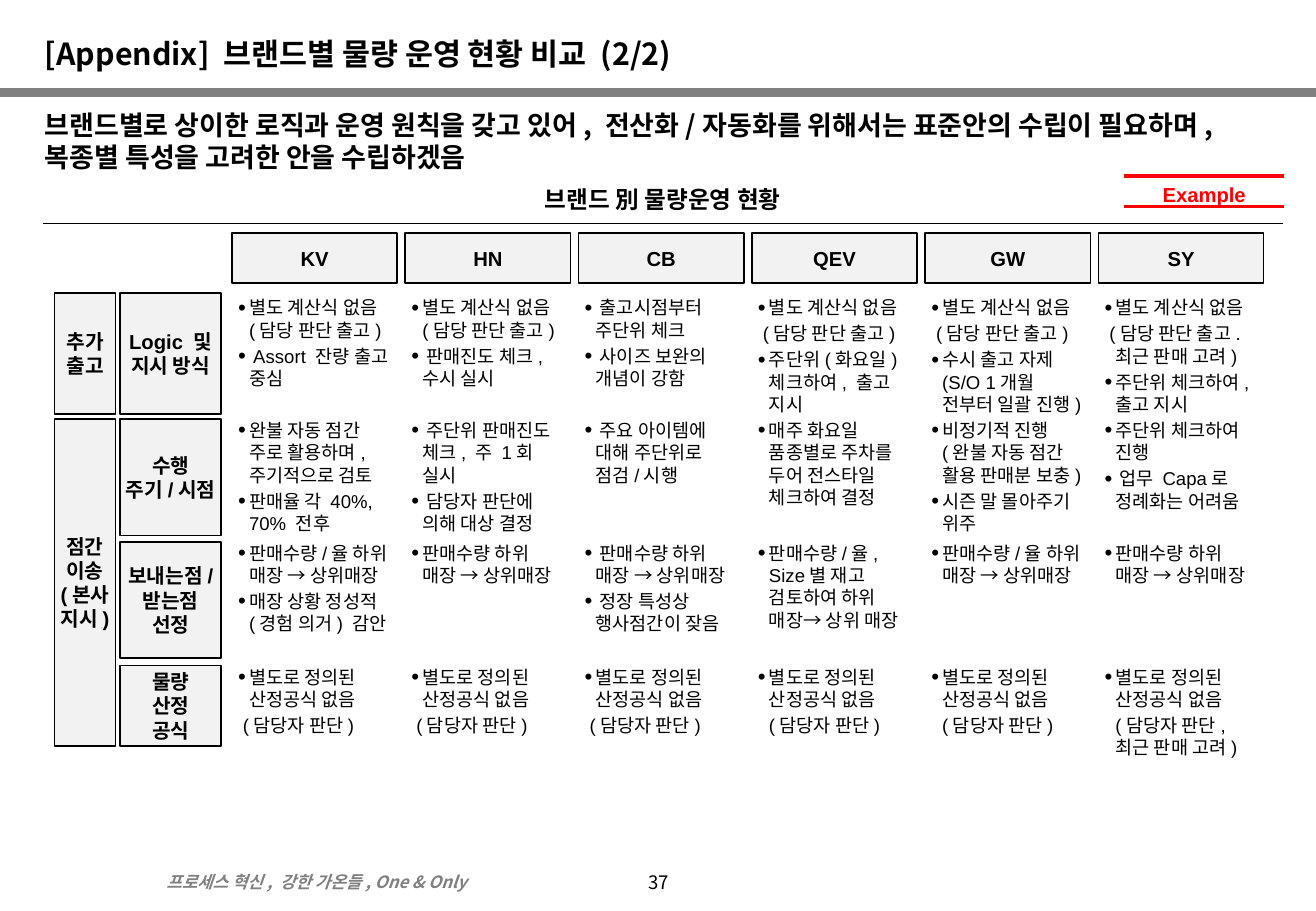
from copy import deepcopy

from lxml import etree
from pptx import Presentation
from pptx.dml import color
from pptx.enum import shapes, text
from pptx.oxml import ns
from pptx.util import Inches, Pt

BLACK = color.RGBColor(0, 0, 0)
GRAY = color.RGBColor(0x80, 0x80, 0x80)
PALE = color.RGBColor(0xF2, 0xF2, 0xF2)
RED = color.RGBColor(0xFF, 0, 0)
NOTO = "Noto Sans CJK KR"
LEFT, MID = text.PP_ALIGN.LEFT, text.PP_ALIGN.CENTER
HANG = 0.09
NOTES = {"-": -0.05, "=": 0}

BRANDS = ["KV", "HN", "CB", "QEV", "GW", "SY"]
GROUPS = [("추가\n출고", 2.41, 1), ("점간\n이송\n(본사\n지시)", 3.45, 2.69)]
NONE = "별도 계산식 없음"
JUDGE = NONE + " (담당 판단 출고)"
RULE = "별도로 정의된 산정공식 없음"
MOVE = "매장 → 상위매장"
ROWS = [
    ("Logic 및\n지시 방식", 2.41, 1, [
        [JUDGE, " Assort 잔량 출고 중심"],
        [JUDGE, " 판매진도 체크, 수시 실시"],
        [" 출고시점부터 주단위 체크", " 사이즈 보완의 개념이 강함"],
        [NONE, "-(담당 판단 출고)", "주단위(화요일) 체크하여, 출고 지시"],
        [NONE, "-(담당 판단 출고)", "수시 출고 자제 (S/O 1개월 전부터 일괄 진행)"],
        [NONE, "-(담당 판단 출고. 최근 판매 고려)", "주단위 체크하여, 출고 지시"]]),
    ("수행\n주기/시점", 3.45, 0.96, [
        ["완불 자동 점간 주로 활용하며, 주기적으로 검토", "판매율 각 40%, 70% 전후"],
        [" 주단위 판매진도 체크, 주 1회 실시", " 담당자 판단에 의해 대상 결정"],
        [" 주요 아이템에 대해 주단위로 점검/시행"],
        ["매주 화요일\n품종별로 주차를 두어 전스타일 체크하여 결정"],
        ["비정기적 진행\n(완불 자동 점간 활용 판매분 보충)", "시즌 말 몰아주기 위주"],
        ["주단위 체크하여 진행", " 업무 Capa로 정례화는 어려움"]]),
    ("보내는점/\n받는점\n선정", 4.46, 0.96, [
        ["판매수량/율 하위 " + MOVE, "매장 상황 정성적 (경험 의거) 감안"],
        ["판매수량 하위 " + MOVE],
        [" 판매수량 하위 " + MOVE, " 정장 특성상 행사점간이 잦음"],
        ["판매수량/율, Size별 재고 검토하여 하위 매장→ 상위 매장"],
        ["판매수량/율 하위 " + MOVE],
        ["판매수량 하위 " + MOVE]]),
    ("물량\n산정\n공식", 5.48, 0.66,
        [[RULE, "-(담당자 판단)"]] * 3 + [[RULE, "=(담당자 판단)"]] * 2
        + [[RULE, "=(담당자 판단, 최근 판매 고려)"]]),
]


def mark(para, char, first):
    """Set the hanging indent and the bullet of a paragraph."""
    props = para._p.get_or_add_pPr()
    props.set("marL", str(Inches(HANG if char or first is not None else 0)))
    props.set("indent", str(Inches(-HANG if char else first or 0)))
    if char:
        etree.SubElement(props, ns.qn("a:buSzPct")).set("val", "120000")
        etree.SubElement(props, ns.qn("a:buFont")).set("typeface", "Arial")
        etree.SubElement(props, ns.qn("a:buChar")).set("char", char)
    else:
        etree.SubElement(props, ns.qn("a:buNone"))


def write(para, words, size=12, font="Arial", ink=BLACK, bold=False,
          slant=False, align=LEFT, bullet=None, first=None, before=0, lead=1):
    """Put formatted text into a paragraph."""
    para.text = words
    mark(para, bullet, first)
    para.alignment, para.line_spacing = align, lead
    para.space_before = Pt(before)
    for run in para.runs:
        face = run.font
        face.name, face.size = font, Pt(size)
        face.bold, face.italic = bold, slant
        face.color.rgb = ink
        props = run._r.get_or_add_rPr()
        props.set("kern", "0")
        etree.SubElement(props, ns.qn("a:ea")).set("typeface", NOTO)
    for gap in para._p.findall(ns.qn("a:br")):
        gap.append(deepcopy(para.runs[0]._r.rPr))


def frame(item, inset=(0.1, 0.05, 0.1, 0.05), wrap=True, anchor="TOP"):
    """Set margins, wrapping and anchor, and return the text frame."""
    body = item.text_frame
    body.margin_left, body.margin_top, body.margin_right, body.margin_bottom = map(Inches, inset)
    body.word_wrap = wrap
    body.auto_size = text.MSO_AUTO_SIZE.NONE
    body.vertical_anchor = text.MSO_ANCHOR[anchor]
    return body


def label(slide, words, box, wrap=True, anchor="TOP", **form):
    """Add a text box holding one paragraph."""
    item = slide.shapes.add_textbox(*map(Inches, box))
    write(frame(item, wrap=wrap, anchor=anchor).paragraphs[0], words, **form)


def rule(slide, x, y, wide, ink, width):
    """Draw a horizontal line."""
    line = slide.shapes.add_connector(
        shapes.MSO_CONNECTOR.STRAIGHT, Inches(x), Inches(y), Inches(x + wide), Inches(y))
    line.line.color.rgb, line.line.width = ink, Pt(width)
    etree.SubElement(line._element.spPr, ns.qn("a:effectLst"))


def head(slide, words, box):
    """Draw a shaded header box."""
    item = slide.shapes.add_shape(shapes.MSO_SHAPE.RECTANGLE, *map(Inches, box))
    item.shadow.inherit = False
    item.fill.solid()
    item.fill.fore_color.rgb = PALE
    item.line.color.rgb, item.line.width = BLACK, Pt(1)
    body = frame(item, (0.06, 0, 0.06, 0), False, "MIDDLE")
    write(body.paragraphs[0], words, bold=True, align=MID)


def cell(slide, items, box):
    """Write one bulleted list of the grid."""
    body = frame(slide.shapes.add_textbox(*map(Inches, box)), (0.05, 0, 0.04, 0))
    for at, words in enumerate(items):
        para = body.add_paragraph() if at else body.paragraphs[0]
        note = words[0] in NOTES
        write(para, words[1:] if note else words, size=11,
              bullet=None if note else "•", first=NOTES.get(words[0]),
              before=2.2 if at else 0)


def hold(item, words, box, size):
    """Place and fill a template placeholder."""
    item.left, item.top, item.width, item.height = map(Inches, box)
    write(frame(item).paragraphs[0], words, size=size, font=NOTO, bold=True)


def stamp(slide, x, y, wide):
    """Draw the example tag between two red lines."""
    label(slide, "Example", (x, y, wide, 0.31), ink=RED, bold=True, align=MID)
    for down in (0, 0.25):
        rule(slide, x, y + down, wide, RED, 2.25)


def grid(slide, x, y, wide):
    """Lay out row heads, brand heads and lists."""
    col = 1.36
    start = x + 1.46
    step = (x + wide - col - start) / (len(BRANDS) - 1)
    for words, top, high in GROUPS:
        head(slide, words, (x, top, 0.5, high))
    for at, brand in enumerate(BRANDS):
        head(slide, brand, (start + at * step, y, col, 0.41))
    for words, top, high, lists in ROWS:
        head(slide, words, (x + 0.54, top, 0.83, high))
        shift = 0.03 if top == ROWS[0][1] else 0
        for at, items in enumerate(lists):
            cell(slide, items, (start + at * step, top + shift, col, high))


def main():
    """Build and save the slide."""
    deck = Presentation()
    deck.slide_width, deck.slide_height = Inches(10.83), Inches(7.5)
    slide = deck.slides.add_slide(deck.slide_layouts[1])
    rule(slide, 0, 0.76, 10.83, GRAY, 5)
    hold(slide.shapes.title, "[Appendix] 브랜드별 물량 운영 현황 비교 (2/2)",
         (0.27, 0.24, 10.24, 0.46), 18)
    hold(slide.placeholders[1],
         "브랜드별로 상이한 로직과 운영 원칙을 갖고 있어, 전산화/자동화를 위해서는 "
         "표준안의 수립이 필요하며, 복종별 특성을 고려한 안을 수립하겠음",
         (0.27, 0.84, 10.26, 0.83), 16)
    stamp(slide, 9.25, 1.45, 1.32)
    label(slide, "브랜드 別 물량운영 현황", (3.68, 1.47, 3.55, 0.34), wrap=False,
          size=14, bold=True, align=MID)
    rule(slide, 0.35, 1.84, 10.21, BLACK, 0.75)
    grid(slide, 0.45, 1.92, 9.95)
    label(slide, "프로세스 혁신, 강한 가온들, One & Only", (1.27, 7.13, 3.32, 0.27),
          size=10, font=NOTO, ink=GRAY, bold=True, slant=True)
    label(slide, "37", (4.92, 7.13, 1, 0.3), anchor="MIDDLE", size=11, font=NOTO,
          align=MID, lead=0.8)
    deck.save("out.pptx")


if __name__ == "__main__":
    main()
